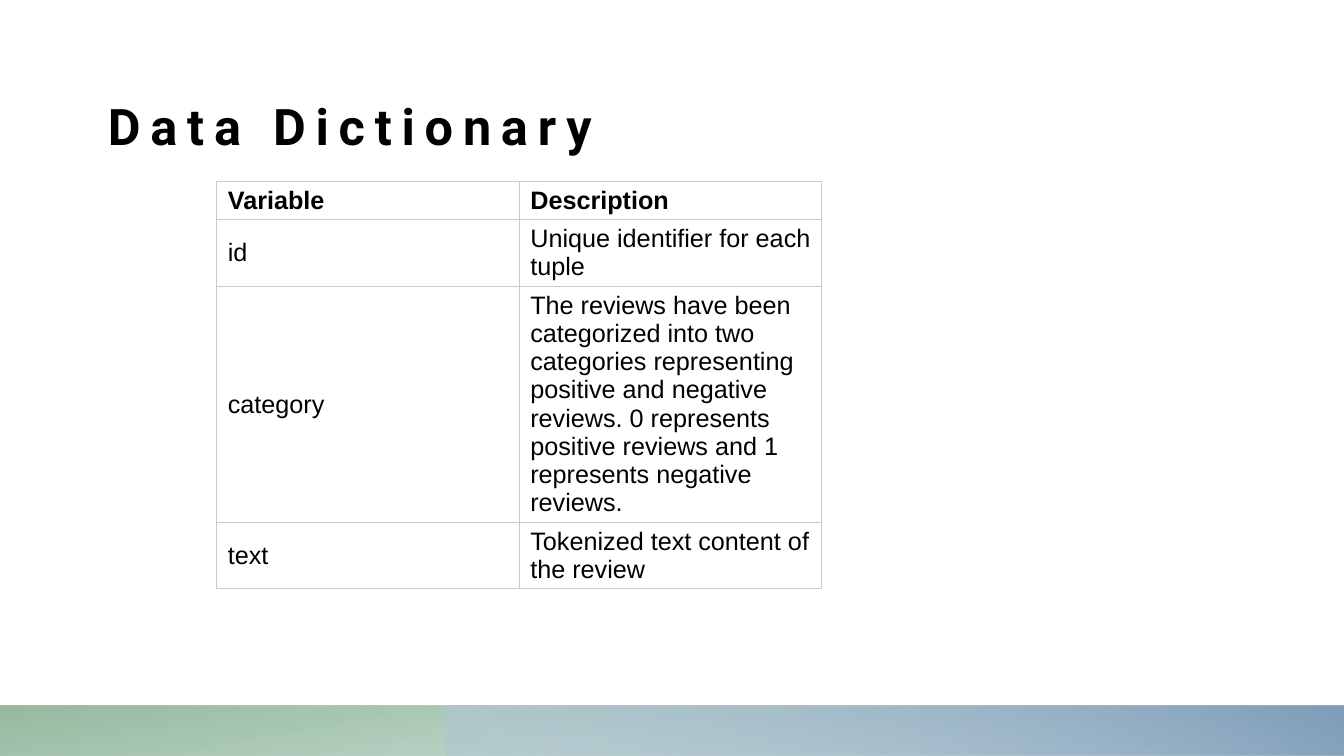
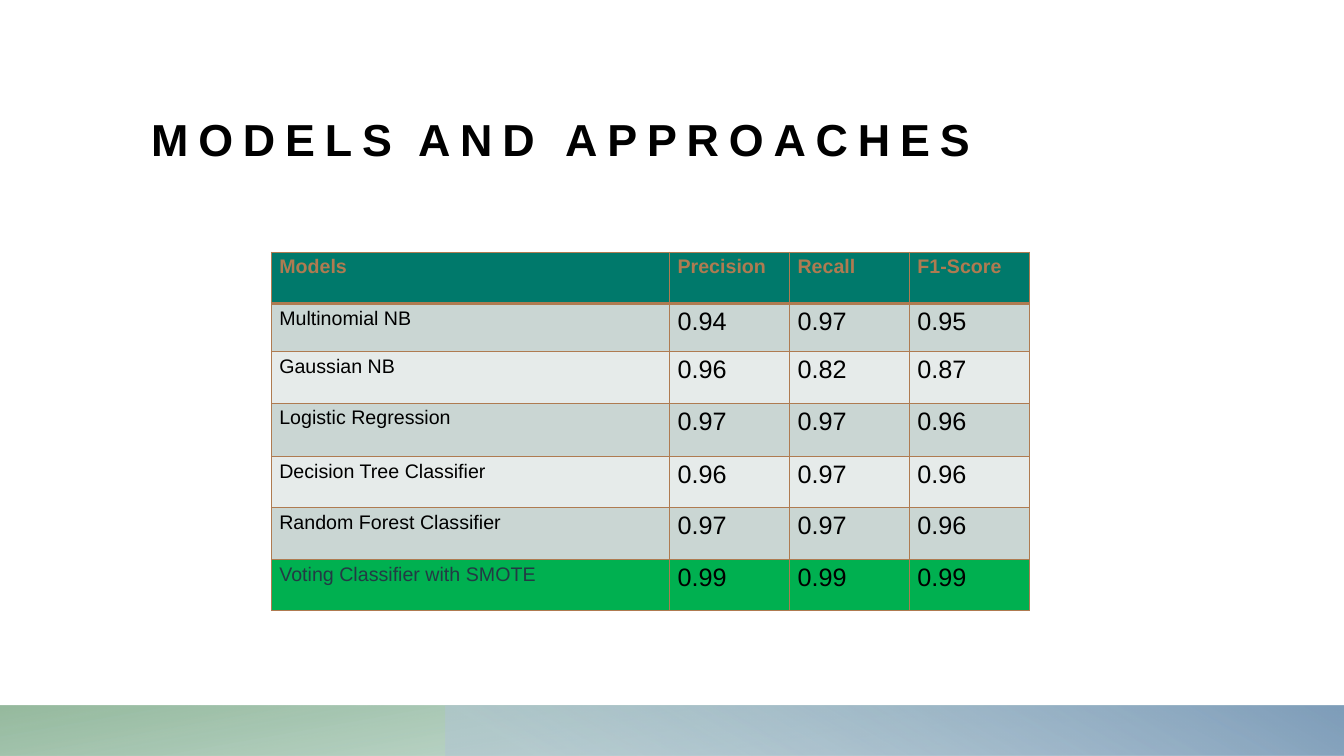
"""Builds two slides that share a gradient footer and hold one table each."""
from lxml import etree
from pptx import Presentation
from pptx import util as u
from pptx.dml import color
from pptx.enum import shapes, text
from pptx.oxml import ns

BLACK, WHITE, BROWN = "000000", "FFFFFF", "AF7B51"
GREY_LINE, TEAL, GREEN, SLATE = "C8CCD0", "00796B", "00B050", "233A44"
STRIPES = ("CAD6D3", "E6EBEA")
BODY_FONT = "Arial"


def rgb(code):
    return color.RGBColor.from_string(code)


def set_font(font, size, name=BODY_FONT, ink=BLACK, bold=False):
    font.size, font.name, font.bold = u.Pt(size), name, bold
    font.color.rgb = rgb(ink)


class Deck:
    def __init__(self):
        self.deck = Presentation()
        self.deck.slide_width, self.deck.slide_height = u.Inches(13.33), u.Inches(7.5)
        self.page = None

    def add_page(self):
        self.page = self.deck.slides.add_slide(self.deck.slide_layouts[5])
        self.band(0, 13.33, 180, 100, [(14, "76AD99", 28), (100, "84AE8D", 85)])
        self.band(4.42, 8.92, 0, 240, [(9, "B2C5D6", 55), (99, "7F9EBA", 100)])

    def band(self, left, width, rotation, angle, stops):
        band = self.page.shapes.add_shape(
            shapes.MSO_SHAPE.RECTANGLE,
            u.Inches(left), u.Inches(7), u.Inches(width), u.Inches(0.5))
        band.shadow.inherit = False
        band.line.fill.background()
        band.rotation = rotation
        band.element.spPr.find(ns.qn("a:xfrm")).set("flipH", "1")
        band.fill.gradient()
        band.fill.gradient_angle = 360 - angle
        for stop, (position, code, _) in zip(band.fill.gradient_stops, stops):
            stop.position, stop.color.rgb = position / 100, rgb(code)
        tints = band.element.spPr.iter(ns.qn("a:srgbClr"))
        for tint, (_, _, opacity) in zip(tints, stops):
            etree.SubElement(tint, ns.qn("a:alpha"), val=str(opacity * 1000))

    def title(self, spans, left, top, height, size, font=BODY_FONT, bottom=0):
        box = self.page.shapes.title
        box.left, box.top = u.Inches(left), u.Inches(top)
        box.width, box.height = u.Inches(11.2), u.Inches(height)
        frame = box.text_frame
        frame.margin_left = frame.margin_top = frame.margin_right = 0
        frame.margin_bottom = u.Inches(bottom)
        frame.word_wrap, frame.auto_size = True, text.MSO_AUTO_SIZE.NONE
        frame.vertical_anchor = text.MSO_ANCHOR.BOTTOM
        para = frame.paragraphs[0]
        para.alignment = text.PP_ALIGN.LEFT
        set_font(para.font, size, font, bold=True)
        for words in spans:
            span = para.add_run()
            span.text = words
            if words == " ":
                set_font(span.font, 18, "League Spartan", BROWN)
        for tag in ("a:defRPr", "a:rPr"):
            for properties in box.element.iter(ns.qn(tag)):
                properties.set("spc", "700")

    def table(self, left, top, widths, heights):
        frame = self.page.shapes.add_table(
            len(heights), len(widths), u.Inches(left), u.Inches(top),
            u.Inches(sum(widths)), u.Inches(sum(heights)))
        table = frame.table
        table.horz_banding = False
        for column, width in zip(table.columns, widths):
            column.width = u.Inches(width)
        for row, height in zip(table.rows, heights):
            row.height = u.Inches(height)
        return table

    def cell(self, cell, words, fill, line, widths, margins, anchor, **style):
        properties = cell._tc.get_or_add_tcPr()
        for side, width in zip("LRTB", widths):
            edge = etree.SubElement(properties, ns.qn(f"a:ln{side}"), w=str(u.Pt(width)))
            paint = etree.SubElement(edge, ns.qn("a:solidFill"))
            etree.SubElement(paint, ns.qn("a:srgbClr"), val=line)
        cell.fill.solid()
        cell.fill.fore_color.rgb = rgb(fill)
        cell.margin_left = cell.margin_right = u.Inches(margins[0])
        cell.margin_top = cell.margin_bottom = u.Inches(margins[1])
        cell.vertical_anchor = anchor
        cell.text = words
        set_font(cell.text_frame.paragraphs[0].font, **style)


def dictionary_page(deck):
    deck.add_page()
    deck.title(["Data Dictionary"], 1.07, 0.76, 1.35, 36, "Roboto", bottom=0.57)
    rows = [
        ("Variable", "Description"),
        ("id", "Unique identifier for each tuple"),
        ("category", "The reviews have been categorized into two categories "
         "representing positive and negative reviews. 0 represents positive "
         "reviews and 1 represents negative reviews."),
        ("text", "Tokenized text content of the review"),
    ]
    table = deck.table(2.15, 1.8, [3, 3], [0.38, 0.66, 2.34, 0.66])
    for r, row in enumerate(rows):
        for c, words in enumerate(row):
            deck.cell(table.cell(r, c), words, WHITE, GREY_LINE, [0.6] * 4,
                      (0.11, 0.05), text.MSO_ANCHOR.MIDDLE, size=18, bold=r == 0)


def models_page(deck):
    deck.add_page()
    deck.title(["MODELS", " ", "AND APPROACHES"], 1.5, 0.87, 0.77, 32)
    rows = [
        ("Models", "Precision", "Recall", "F1-Score"),
        ("Multinomial NB", "0.94", "0.97", "0.95"),
        ("Gaussian NB", "0.96", "0.82", "0.87"),
        ("Logistic Regression", "0.97", "0.97", "0.96"),
        ("Decision Tree Classifier", "0.96", "0.97", "0.96"),
        ("Random Forest Classifier", "0.97", "0.97", "0.96"),
        ("Voting Classifier with SMOTE", "0.99", "0.99", "0.99"),
    ]
    table = deck.table(2.69, 2.5, [3.95] + [1.19] * 3,
                       [0.51, 0.48, 0.51, 0.53, 0.51, 0.51, 0.51])
    last = len(rows) - 1
    for r, row in enumerate(rows):
        fill = {0: TEAL, last: GREEN}.get(r, STRIPES[(r - 1) % 2])
        edges = [0.8, 0.8, 2.4 if r == 1 else 0.8, 2.4 if r == 0 else 0.8]
        for c, words in enumerate(row):
            ink = BROWN if r == 0 else SLATE if (r, c) == (last, 0) else BLACK
            deck.cell(table.cell(r, c), words, fill, BROWN, edges,
                      (0.08, 0.04), text.MSO_ANCHOR.TOP,
                      size=18 if r and c else 14, ink=ink, bold=r == 0)


def main():
    deck = Deck()
    dictionary_page(deck)
    models_page(deck)
    deck.deck.save("out.pptx")


if __name__ == "__main__":
    main()
